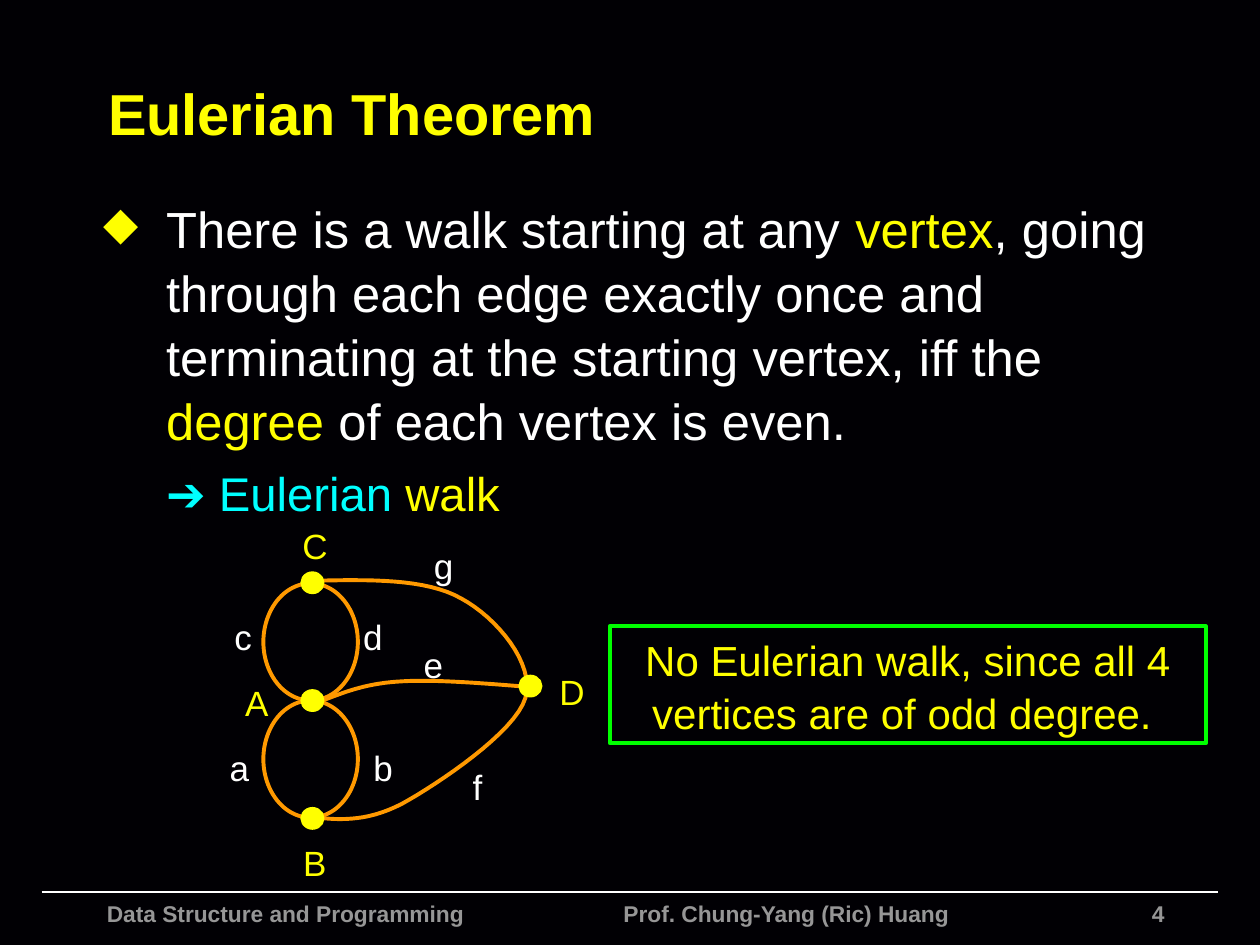
from pptx import Presentation
from pptx.dml.color import RGBColor
from pptx.enum.shapes import MSO_CONNECTOR, MSO_SHAPE
from pptx.enum.text import MSO_ANCHOR, PP_ALIGN
from pptx.oxml.ns import qn
from pptx.util import Inches, Pt
from lxml.etree import SubElement

BLACK = RGBColor(0x01, 0x00, 0x04)
WHITE = RGBColor(0xFF, 0xFF, 0xFF)
YELLOW = RGBColor(0xFF, 0xFF, 0x00)
CYAN = RGBColor(0x00, 0xFF, 0xFF)
ORANGE = RGBColor(0xFF, 0x99, 0x00)
GREEN = RGBColor(0x00, 0xFF, 0x00)
GREY = RGBColor(0x96, 0x96, 0x96)

presentation = Presentation()
presentation.slide_width, presentation.slide_height = Inches(10), Inches(7.5)
slide = presentation.slides.add_slide(presentation.slide_layouts[6])

# Grid of 100 columns and 75 rows
COLUMN = presentation.slide_width / 100
ROW = presentation.slide_height / 75


def grid(left, top, width, height):
    return (round(left * COLUMN), round(top * ROW),
            round(width * COLUMN), round(height * ROW))


def set_attributes(target, values):
    for name, value in values.items():
        setattr(target, name, value)


def write(paragraph, runs, size, bold=False, **layout):
    """Fill a paragraph with (text, colour) runs."""
    set_attributes(paragraph, {"line_spacing": 1.05, **layout})
    for text, colour in runs:
        run = paragraph.add_run()
        run.text = text
        set_attributes(run.font, {"name": "Arial", "size": Pt(size), "bold": bold})
        run.font.color.rgb = colour


def set_frame(shape, margin=0.1, **values):
    frame = shape.text_frame
    set_attributes(frame, {"word_wrap": True, "vertical_anchor": MSO_ANCHOR.TOP,
                           "margin_left": Inches(margin), "margin_right": Inches(margin),
                           "margin_top": Inches(0.05), "margin_bottom": Inches(0.05),
                           **values})
    return frame


def add_text(shapes, box, **values):
    return set_frame(shapes.add_textbox(*grid(*box)), **values)


def paint(shape, line, fill=None):
    shape.shadow.inherit = False
    if fill is None:
        shape.fill.background()
    else:
        shape.fill.solid()
        shape.fill.fore_color.rgb = fill
    shape.line.color.rgb = line
    shape.line.width = Pt(2.25)


def indent(paragraph, left, hanging):
    properties = paragraph._p.get_or_add_pPr()
    properties.set("marL", str(Inches(left)))
    properties.set("indent", str(Inches(-hanging)))
    return properties


def add_title(box):
    frame = add_text(slide.shapes, box, vertical_anchor=MSO_ANCHOR.MIDDLE)
    write(frame.paragraphs[0], [("Eulerian Theorem", YELLOW)], 33, bold=True)


def add_theorem(box):
    frame = add_text(slide.shapes, box)
    statement, conclusion = frame.paragraphs[0], frame.add_paragraph()
    write(statement, [
        ("There is a walk starting at any ", WHITE), ("vertex", YELLOW),
        (", going through each edge exactly once and terminating at the "
         "starting vertex, iff the ", WHITE),
        ("degree", YELLOW), (" of each vertex is even.", WHITE),
    ], 29, space_before=Pt(2))
    properties = indent(statement, 0.5, 0.5)
    colour = SubElement(properties, qn("a:buClr"))
    SubElement(colour, qn("a:srgbClr")).set("val", str(YELLOW))
    SubElement(properties, qn("a:buSzPct")).set("val", "90000")
    SubElement(properties, qn("a:buChar")).set("char", "◆")
    write(conclusion, [("➔ Eulerian ", CYAN), ("walk", YELLOW)], 27, space_before=Pt(6))
    indent(conclusion, 1, 0.5)


def trace(points, steps=16):
    """Sample a chain of cubic curves given as start, control, control, end..."""
    samples = [points[0]]
    for first in range(0, len(points) - 1, 3):
        for step in range(1, steps + 1):
            t = step / steps
            weights = ((1 - t) ** 3, 3 * t * (1 - t) ** 2, 3 * t * t * (1 - t), t ** 3)
            samples.append(tuple(
                sum(weight * point[axis] for weight, point in
                    zip(weights, points[first:first + 4])) for axis in (0, 1)))
    return samples


def add_graph(left, top):
    shapes = slide.shapes.add_group_shape().shapes

    def add_oval(x, y, width, height, line, fill=None):
        box = grid(left + x - width / 2, top + y - height / 2, width, height)
        paint(shapes.add_shape(MSO_SHAPE.OVAL, *box), line, fill)

    # Double edges c-d and a-b
    for y in (9.95, 19.25):
        add_oval(6.95, y, 7.5, 9.3, ORANGE)

    # Edges g with f, and e
    outer = [(7.1, 5.1), (11.6, 5), (16.1, 4.9), (18.9, 6.5), (21.7, 8), (24.8, 11.7),
             (24, 14.4), (23.2, 17.1), (17.1, 21.2), (14.2, 22.8), (11.3, 24.3),
             (9, 24.1), (6.7, 23.8)]
    middle = [(24, 13.5), (20.3, 13.2), (16.5, 12.9), (13.8, 13.1), (11.1, 13.3),
              (9.5, 14), (7.9, 14.6)]
    for edge in (outer, middle):
        start, *rest = [((left + x) * COLUMN, (top + y) * ROW) for x, y in trace(edge)]
        builder = shapes.build_freeform(round(start[0]), round(start[1]))
        builder.add_line_segments([(round(x), round(y)) for x, y in rest], close=False)
        paint(builder.convert_to_shape(), ORANGE)

    # Vertices
    for x, y in ((7.1, 5.25), (7.1, 14.6), (7.1, 23.95), (24.4, 13.45)):
        add_oval(x, y, 1.6, 1.5, YELLOW, YELLOW)

    # Names of vertices and edges, by centre
    names = {"A": (2.65, 14.55), "B": (7.25, 27.25), "C": (7.2, 2.15), "D": (27.6, 13.75),
             "a": (1.3, 19.75), "b": (12.7, 19.75), "c": (1.6, 9.35), "d": (11.9, 9.35),
             "e": (16.7, 11.55), "f": (20.2, 21.25), "g": (17.5, 3.75)}
    for name, (x, y) in names.items():
        frame = add_text(shapes, (left + x - 1.4, top + y - 2.15, 2.8, 4.3),
                         margin=0.05, word_wrap=False)
        write(frame.paragraphs[0], [(name, YELLOW if name.isupper() else WHITE)], 20,
              alignment=PP_ALIGN.CENTER)


def add_callout(box):
    shape = slide.shapes.add_shape(MSO_SHAPE.RECTANGLE, *grid(*box))
    paint(shape, GREEN)
    frame = set_frame(shape, margin=0.05)
    write(frame.paragraphs[0],
          [("No Eulerian walk, since all 4 vertices are of odd degree. ", YELLOW)], 24,
          alignment=PP_ALIGN.CENTER)


def add_footer(left, top, width):
    start_x, start_y, length, _ = grid(left, top, width, 0)
    rule = slide.shapes.add_connector(MSO_CONNECTOR.STRAIGHT, start_x, start_y,
                                      start_x + length, start_y)
    rule.line.color.rgb = WHITE
    rule.line.width = Pt(1)
    SubElement(rule._element.spPr, qn("a:effectLst"))

    # Course and lecturer, parted by a tab stop
    course = add_text(slide.shapes, (left + 4.2, top, 72.4, 4.2)).paragraphs[0]
    write(course, [("Data Structure and Programming\tProf. Chung-Yang (Ric) Huang", GREY)],
          13, bold=True)
    stops = SubElement(course._p.get_or_add_pPr(), qn("a:tabLst"))
    set_stop = SubElement(stops, qn("a:tab")).set
    set_stop("pos", str(Inches(4.1)))
    set_stop("algn", "l")

    number = add_text(slide.shapes, (left + width - 10, top, 6.7, 4.2)).paragraphs[0]
    write(number, [("4", GREY)], 13, bold=True, alignment=PP_ALIGN.RIGHT)


slide.background.fill.solid()
slide.background.fill.fore_color.rgb = BLACK
add_footer(3.3, 70.8, 93.4)
add_title((7.6, 3.7, 88.4, 10.1))
add_theorem((7.2, 15, 85, 51.7))
add_graph(17.7, 41)
add_callout((48.4, 49.7, 47.3, 9.3))
presentation.save("out.pptx")
